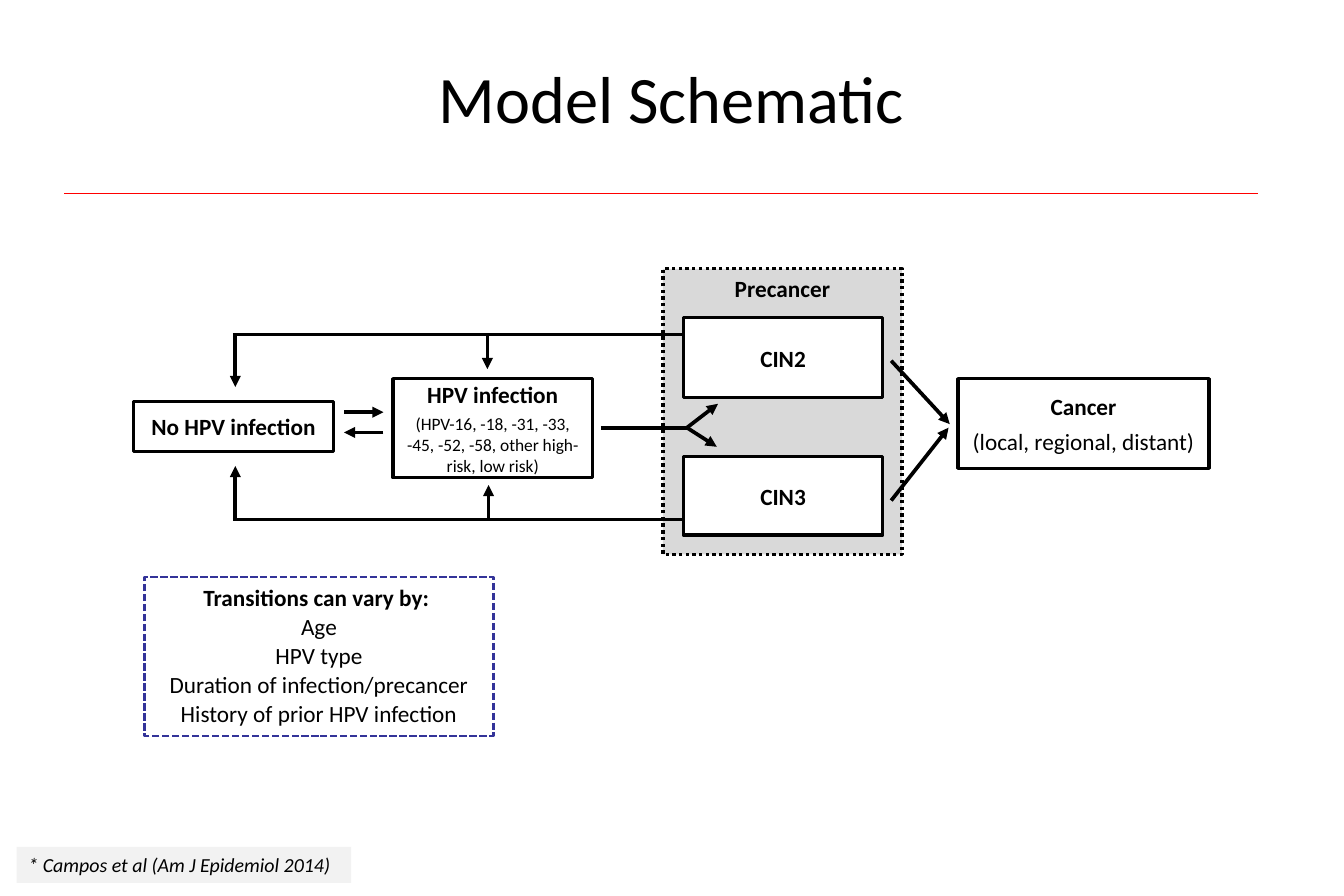
from pptx import Presentation
from pptx import util as u
from pptx.dml.color import RGBColor
from pptx.enum import dml, shapes, text
from pptx.oxml.ns import qn
from lxml import etree

COLORS = {"black": "000000", "white": "FFFFFF", "panel": "D9D9D9",
          "footer": "F2F2F2", "notes": "333399", "rule": "FF0000"}
CENTER, LEFT = text.PP_ALIGN.CENTER, text.PP_ALIGN.LEFT
TOP, MIDDLE = text.MSO_ANCHOR.TOP, text.MSO_ANCHOR.MIDDLE
DOTS, DASHES = dml.MSO_LINE.ROUND_DOT, dml.MSO_LINE.SQUARE_DOT

presentation = Presentation()
presentation.slide_width = u.Inches(11.25)
presentation.slide_height = u.Inches(7.5)
slide = presentation.slides.add_slide(presentation.slide_layouts[5])


def add_box(place, lines, fill=None, line=None, width=2, dash=None,
            anchor=MIDDLE, align=CENTER, before=0, after=0):
    """Add a rectangle; each line is (text, size, bold, italic)."""
    shape = slide.shapes.add_shape(shapes.MSO_SHAPE.RECTANGLE,
                                   *[u.Inches(value) for value in place])
    shape.shadow.inherit = False
    if fill:
        shape.fill.solid()
        shape.fill.fore_color.rgb = RGBColor.from_string(COLORS[fill])
    else:
        shape.fill.background()
    if line:
        shape.line.color.rgb = RGBColor.from_string(COLORS[line])
        shape.line.width = u.Pt(width)
        if dash:
            shape.line.dash_style = dash
    else:
        shape.line.fill.background()
    frame = shape.text_frame
    frame.word_wrap = True
    frame.vertical_anchor = anchor
    for index, (words, size, bold, italic) in enumerate(lines):
        paragraph = frame.add_paragraph() if index else frame.paragraphs[0]
        paragraph.alignment = align
        paragraph.space_before = u.Pt(before * size if index else 0)
        paragraph.space_after = u.Pt(after * size)
        run = paragraph.add_run()
        run.text = words
        run.font.name = "Calibri"
        run.font.size = u.Pt(size)
        run.font.bold = bold
        run.font.italic = italic
        run.font.color.rgb = RGBColor.from_string(COLORS["black"])


def add_line(start, end, arrow=False, color="black", width=2.25):
    """Add a straight line, with an optional arrowhead at its end."""
    connector = slide.shapes.add_connector(
        shapes.MSO_CONNECTOR.STRAIGHT,
        *[u.Inches(value) for value in start + end])
    connector.line.color.rgb = RGBColor.from_string(COLORS[color])
    connector.line.width = u.Pt(width)
    if arrow:
        outline = connector.line._get_or_add_ln()
        etree.SubElement(outline, qn("a:tailEnd"), type="triangle")
    etree.SubElement(connector._element.spPr, qn("a:effectLst"))


# Title and rule
title = slide.shapes.title
title.left, title.top = u.Inches(0.84), u.Inches(0.23)
title.width, title.height = u.Inches(9.56), u.Inches(1.17)
title.text_frame.vertical_anchor = MIDDLE
title_paragraph = title.text_frame.paragraphs[0]
title_paragraph.alignment = CENTER
title_run = title_paragraph.add_run()
title_run.text = "Model Schematic"
title_run.font.name = "Calibri"
title_run.font.size = u.Pt(40)
title_run.font.color.rgb = RGBColor.from_string(COLORS["black"])
add_line((0.54, 1.62), (10.53, 1.62), color="rule", width=1)

# Precancer panel
add_box((5.55, 2.25, 2, 2.39), [("Precancer", 14, True, False)],
        fill="panel", line="black", dash=DOTS, anchor=TOP)

# Health states: place, heading, detail, detail size, fill
states = [
    ((1.12, 3.36, 1.67, 0.42), "No HPV infection", None, 0, None),
    ((3.29, 3.17, 1.67, 0.83), "HPV infection",
     "(HPV-16, -18, -31, -33, -45, -52, -58, other high-risk, low risk)", 10.5, None),
    ((5.72, 2.66, 1.67, 0.67), "CIN2", None, 0, "white"),
    ((5.72, 3.82, 1.67, 0.66), "CIN3", None, 0, "white"),
    ((8.02, 3.17, 2.1, 0.75), "Cancer", "(local, regional, distant)", 14, None),
]
for place, heading, detail, detail_size, fill in states:
    lines = [(heading, 14, True, False)]
    if detail:
        lines.append((detail, detail_size, False, False))
    add_box(place, lines, fill=fill, line="black", before=0.3)

# Plain lines: infection to precancer, and the two regression paths
for start, end in [((5.03, 3.58), (5.76, 3.58)),
                   ((1.95, 2.8), (5.71, 2.8)),
                   ((1.95, 4.35), (5.71, 4.35))]:
    add_line(start, end)

# Arrows between states
arrows = [
    ((2.88, 3.45), (3.21, 3.45)), ((3.21, 3.62), (2.88, 3.62)),  # infection, clearance
    ((5.75, 3.58), (6.01, 3.38)), ((5.75, 3.58), (6, 3.74)),     # to CIN2 and CIN3
    ((4.08, 2.8), (4.08, 3.09)), ((4.09, 4.35), (4.09, 4.06)),   # back to HPV infection
    ((1.97, 2.8), (1.97, 3.24)), ((1.97, 4.35), (1.97, 3.9)),    # back to no infection
    ((7.46, 3.02), (7.95, 3.55)), ((7.46, 4.19), (7.94, 3.58)),  # to cancer
]
for start, end in arrows:
    add_line(start, end, arrow=True)

# Transition factors
factors = ["Age", "HPV type", "Duration of infection/precancer",
           "History of prior HPV infection"]
add_box((1.21, 4.83, 2.92, 1.33),
        [("Transitions can vary by: ", 14, True, False)]
        + [(factor, 14, False, False) for factor in factors],
        line="notes", width=1.5, dash=DASHES, anchor=TOP, after=0.05)

# Citation
add_box((0.14, 7.09, 2.8, 0.3),
        [("* Campos et al (Am J Epidemiol 2014)", 12, False, True)],
        fill="footer", anchor=TOP, align=LEFT)

presentation.save("out.pptx")
